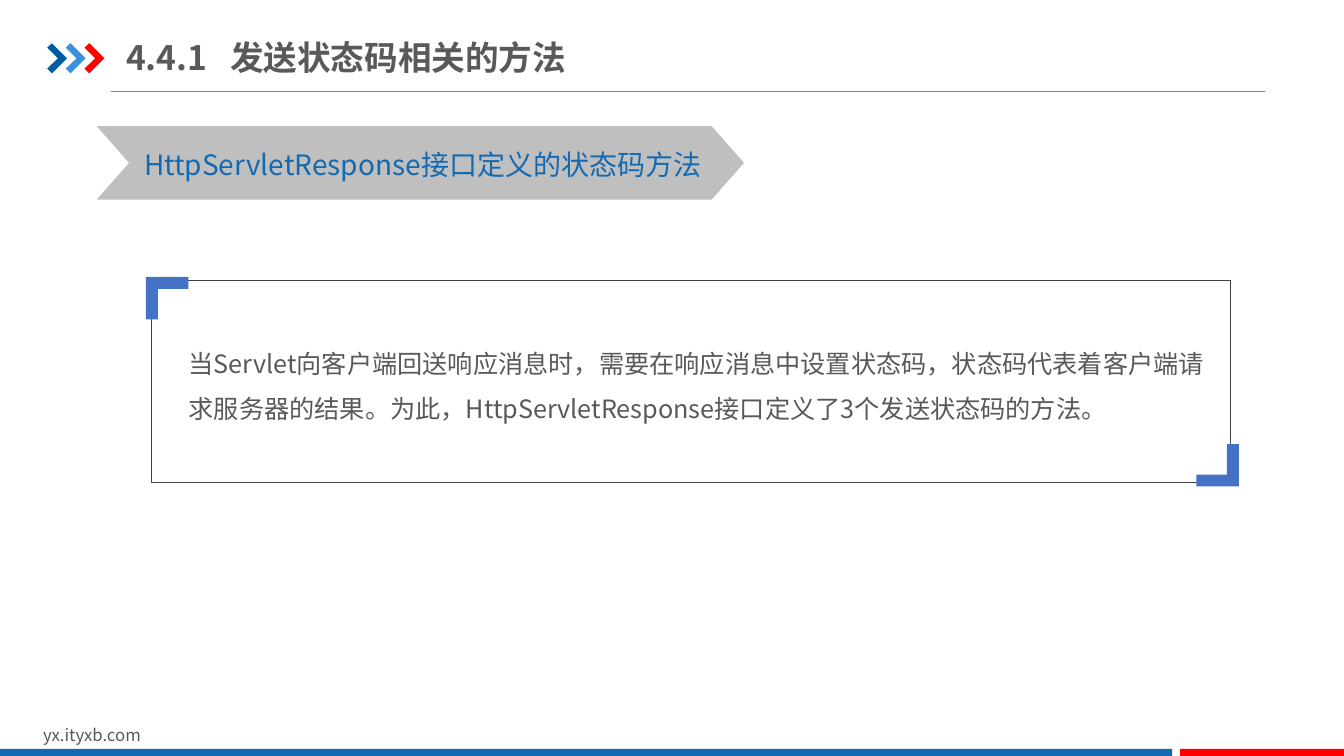
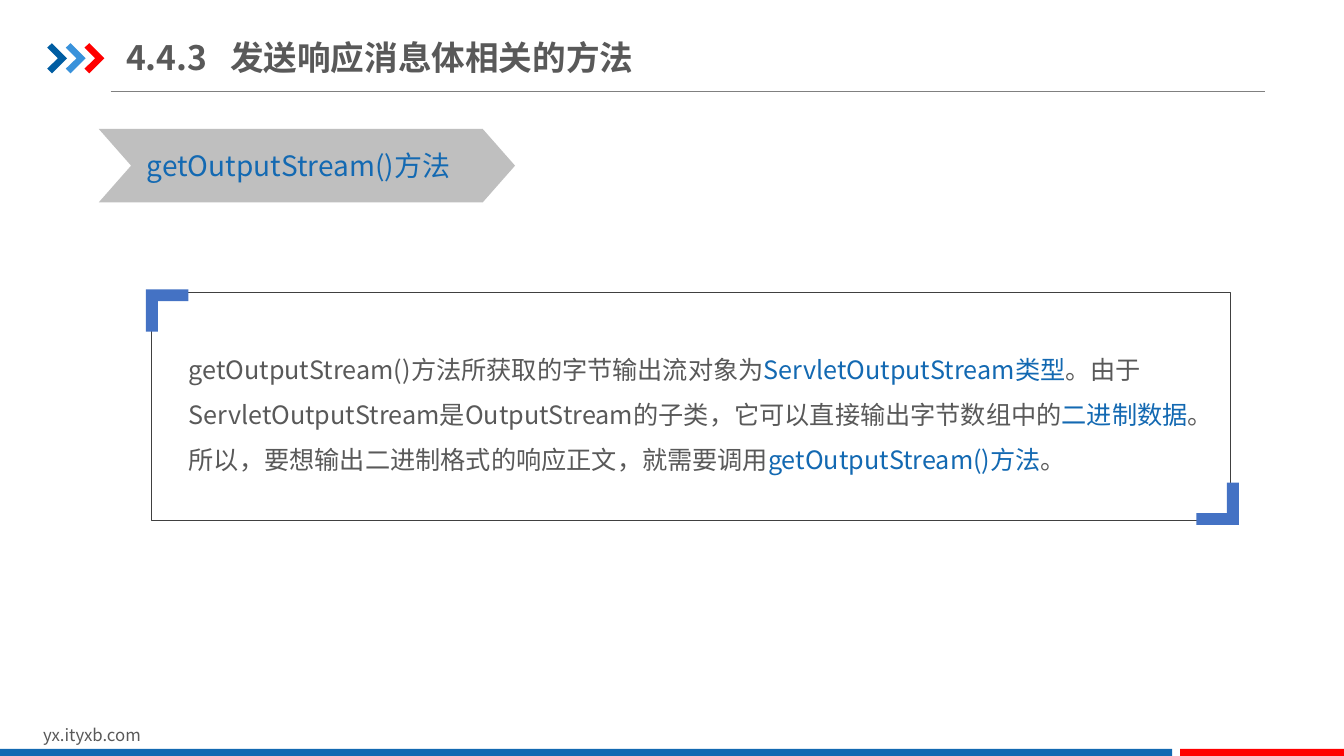
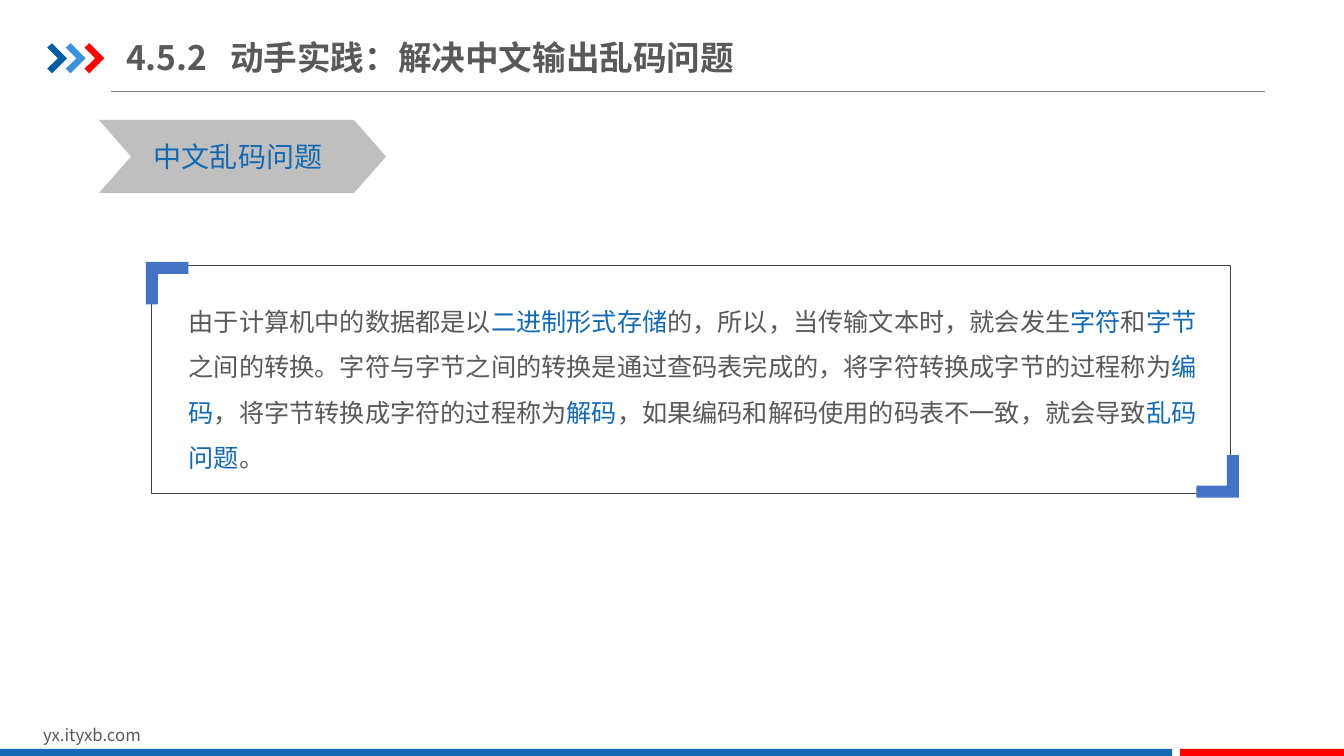
from dataclasses import dataclass

from lxml.etree import SubElement
from pptx import Presentation
from pptx.dml.color import RGBColor as RGB
from pptx.enum.lang import MSO_LANGUAGE_ID as LANG
from pptx.enum.shapes import MSO_CONNECTOR as CONNECTOR, MSO_SHAPE as SHAPE
from pptx.enum.text import MSO_ANCHOR as ANCHOR, MSO_AUTO_SIZE as AUTO, PP_ALIGN as ALIGN
from pptx.oxml.ns import qn
from pptx.util import Cm, Pt


@dataclass(frozen=True)
class Theme:
    font: str = "Noto Sans CJK SC"
    text: RGB = RGB(0x59, 0x59, 0x59)
    accent: RGB = RGB(0x13, 0x69, 0xB2)
    red: RGB = RGB(0xFF, 0x00, 0x00)
    navy: RGB = RGB(0x00, 0x5D, 0xA2)
    sky: RGB = RGB(0x39, 0x92, 0xDB)
    corner: RGB = RGB(0x44, 0x72, 0xC4)
    tag: RGB = RGB(0xBF, 0xBF, 0xBF)
    rule: RGB = RGB(0x80, 0x80, 0x80)
    border: RGB = RGB(0x40, 0x40, 0x40)
    title_size: Pt = Pt(24)
    tag_size: Pt = Pt(20)
    body_size: Pt = Pt(18)
    footer_size: Pt = Pt(12)


T = Theme()

# Content: in each body, every second piece of text is highlighted
SLIDES = [
    dict(
        title="4.4.1\t发送状态码相关的方法",
        tag="HttpServletResponse接口定义的状态码方法",
        tag_at=(2.44, 3.18, 16.31), label_at=(3.38, 3.58),
        box=(7.06, 5.08), body_at=(8.26, 2.67),
        body=["当Servlet向客户端回送响应消息时，需要在响应消息中设置状态码，"
              "状态码代表着客户端请求服务器的结果。为此，"
              "HttpServletResponse接口定义了3个发送状态码的方法。"],
    ),
    dict(
        title="4.4.3\t发送响应消息体相关的方法",
        tag="getOutputStream()方法",
        tag_at=(2.49, 3.25, 10.49), label_at=(3.45, 3.61),
        box=(7.37, 5.74), body_at=(8.41, 3.81),
        body=["getOutputStream()方法所获取的字节输出流对象为",
              "ServletOutputStream类型",
              "。由于ServletOutputStream是OutputStream的子类，它可以直接输出字节数组中的",
              "二进制数据",
              "。所以，要想输出二进制格式的响应正文，就需要调用",
              "getOutputStream()方法",
              "。"],
    ),
    dict(
        title="4.5.2\t动手实践：解决中文输出乱码问题",
        tag="中文乱码问题",
        tag_at=(2.49, 3.02, 7.24), label_at=(3.63, 3.38),
        box=(6.68, 5.74), body_at=(7.21, 4.7),
        body=["由于计算机中的数据都是以", "二进制形式存储",
              "的，所以，当传输文本时，就会发生", "字符", "和", "字节",
              "之间的转换。字符与字节之间的转换是通过查码表完成的，将字符转换成字节的过程称为",
              "编码", "，将字节转换成字符的过程称为", "解码",
              "，如果编码和解码使用的码表不一致，就会导致", "乱码问题", "。"],
    ),
]


# Basic elements
def place(sp, left, top, width, height):
    sp.left, sp.top, sp.width, sp.height = map(Cm, (left, top, width, height))


def add_run(p, text, size, color, bold=False):
    r = p.add_run()
    r.text = text
    font = r.font
    font.size, font.bold, font.name = size, bold, T.font
    font.color.rgb = color
    font.language_id = LANG.SIMPLIFIED_CHINESE
    SubElement(font._element, qn("a:ea"), typeface=T.font)


def paint(sp, color):
    sp.shadow.inherit = False
    sp.fill.solid()
    sp.fill.fore_color.rgb = color
    sp.line.fill.background()


def add_block(s, kind, left, top, width, height, color):
    sp = s.shapes.add_shape(kind, *map(Cm, (left, top, width, height)))
    paint(sp, color)
    return sp


def add_outline(s, points, color):
    start, *rest = [(Cm(x), Cm(y)) for x, y in points]
    builder = s.shapes.build_freeform(*start)
    builder.add_line_segments(rest, close=True)
    paint(builder.convert_to_shape(), color)


def add_label(s, text, left, top, width, height, size, color):
    tf = s.shapes.add_textbox(*map(Cm, (left, top, width, height))).text_frame
    tf.word_wrap = True
    add_run(tf.paragraphs[0], text, size, color)


# Parts shared by all slides
def draw_frame(s):
    rule = s.shapes.add_connector(CONNECTOR.STRAIGHT, Cm(2.79), Cm(2.31), Cm(31.88), Cm(2.31))
    rule.line.color.rgb = T.rule
    rule.line.width = Pt(0.5)
    SubElement(rule._element.spPr, qn("a:effectLst"))

    arrow = [(0, 0.11), (0.12, 0), (0.5, 0.38), (0.12, 0.76), (0, 0.64), (0.27, 0.38)]
    for i, color in enumerate((T.navy, T.sky, T.red)):
        add_outline(s, [(1.19 + 0.47 * i + x, 1.09 + y) for x, y in arrow], color)

    add_label(s, "yx.ityxb.com", 0.84, 18.14, 8.08, 0.76, T.footer_size, T.text)
    add_block(s, SHAPE.RECTANGLE, 0, 18.87, 29.54, 0.23, T.accent)
    add_block(s, SHAPE.RECTANGLE, 29.74, 18.87, 4.13, 0.23, T.red)


def set_up_layout(layout, s):
    """Draw the frame on a slide, then hand its shapes over to the layout."""
    known = {sp.shape_id for sp in s.shapes}
    draw_frame(s)
    frame = [sp for sp in s.shapes if sp.shape_id not in known]
    for number, sp in enumerate(frame, start=100):
        sp._element.xpath("./*/p:cNvPr")[0].set("id", str(number))
        layout.shapes.element.append(sp._element)

    title = layout.placeholders[0]
    place(title, 3.18, 0.74, 16.5, 1.4)
    tf = title.text_frame
    tf.margin_left = tf.margin_right = 0
    tf.margin_top = tf.margin_bottom = Cm(0.18)
    tf.vertical_anchor = ANCHOR.MIDDLE
    tf.auto_size = AUTO.NONE


# Parts of one slide
def fill_title(s, text):
    p = s.shapes.title.text_frame.paragraphs[0]
    tabs = SubElement(p._p.get_or_add_pPr(), qn("a:tabLst"))
    SubElement(tabs, qn("a:tab"), pos=str(Cm(2.62)), algn="l")
    p.alignment = ALIGN.LEFT
    add_run(p, text, T.title_size, T.text, bold=True)


def add_tag(s, text, tag_at, label_at):
    left, top, width = tag_at
    tag = add_block(s, SHAPE.CHEVRON, left, top, width, 1.85, T.tag)
    tag.adjustments[0] = 0.44
    add_label(s, text, *label_at, left + width - label_at[0], 1.12, T.tag_size, T.accent)


def fill_body(s, pieces, top, height):
    body = s.placeholders[1]
    place(body, 4.5, top, 26.16, height)
    tf = body.text_frame
    tf.auto_size = AUTO.NONE
    p = tf.paragraphs[0]
    pPr = p._p.get_or_add_pPr()
    pPr.set("marL", "0")
    pPr.set("indent", "0")
    SubElement(pPr, qn("a:buNone"))
    p.line_spacing = 1.5
    p.space_before = Pt(0)
    for i, piece in enumerate(pieces):
        add_run(p, piece, T.body_size, T.accent if i % 2 else T.text)


def add_box(s, top, height):
    box = s.shapes.add_shape(SHAPE.RECTANGLE, Cm(3.81), Cm(top), Cm(27.2), Cm(height))
    box.shadow.inherit = False
    box.fill.background()
    box.line.color.rgb = T.border
    box.line.width = Pt(0.25)

    # The lower right corner is the upper left one turned by 180 degrees
    size, thick = 1.07, 0.3
    corner = [(0, 0), (size, 0), (size, thick), (thick, thick), (thick, size), (0, size)]
    for x0, y0, sign in ((3.68, top - 0.08, 1), (31.22, top + height + 0.12, -1)):
        add_outline(s, [(x0 + sign * x, y0 + sign * y) for x, y in corner], T.corner)


def main():
    prs = Presentation()
    prs.slide_width, prs.slide_height = Cm(33.87), Cm(19.05)
    layout = prs.slide_layouts[1]
    for i, content in enumerate(SLIDES):
        s = prs.slides.add_slide(layout)
        if i == 0:
            set_up_layout(layout, s)
        fill_title(s, content["title"])
        add_tag(s, content["tag"], content["tag_at"], content["label_at"])
        fill_body(s, content["body"], *content["body_at"])
        add_box(s, *content["box"])
    prs.save("out.pptx")


if __name__ == "__main__":
    main()
